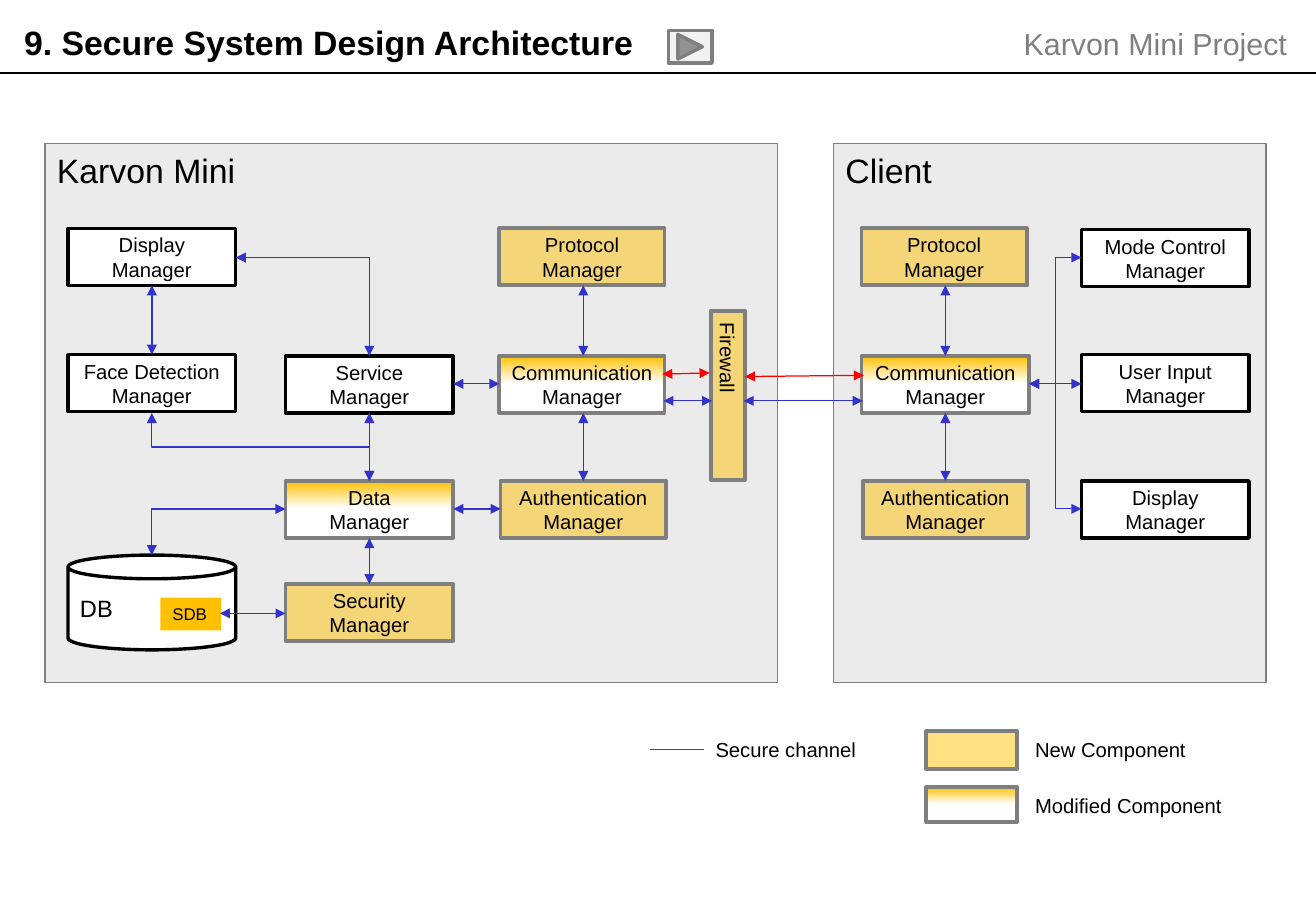
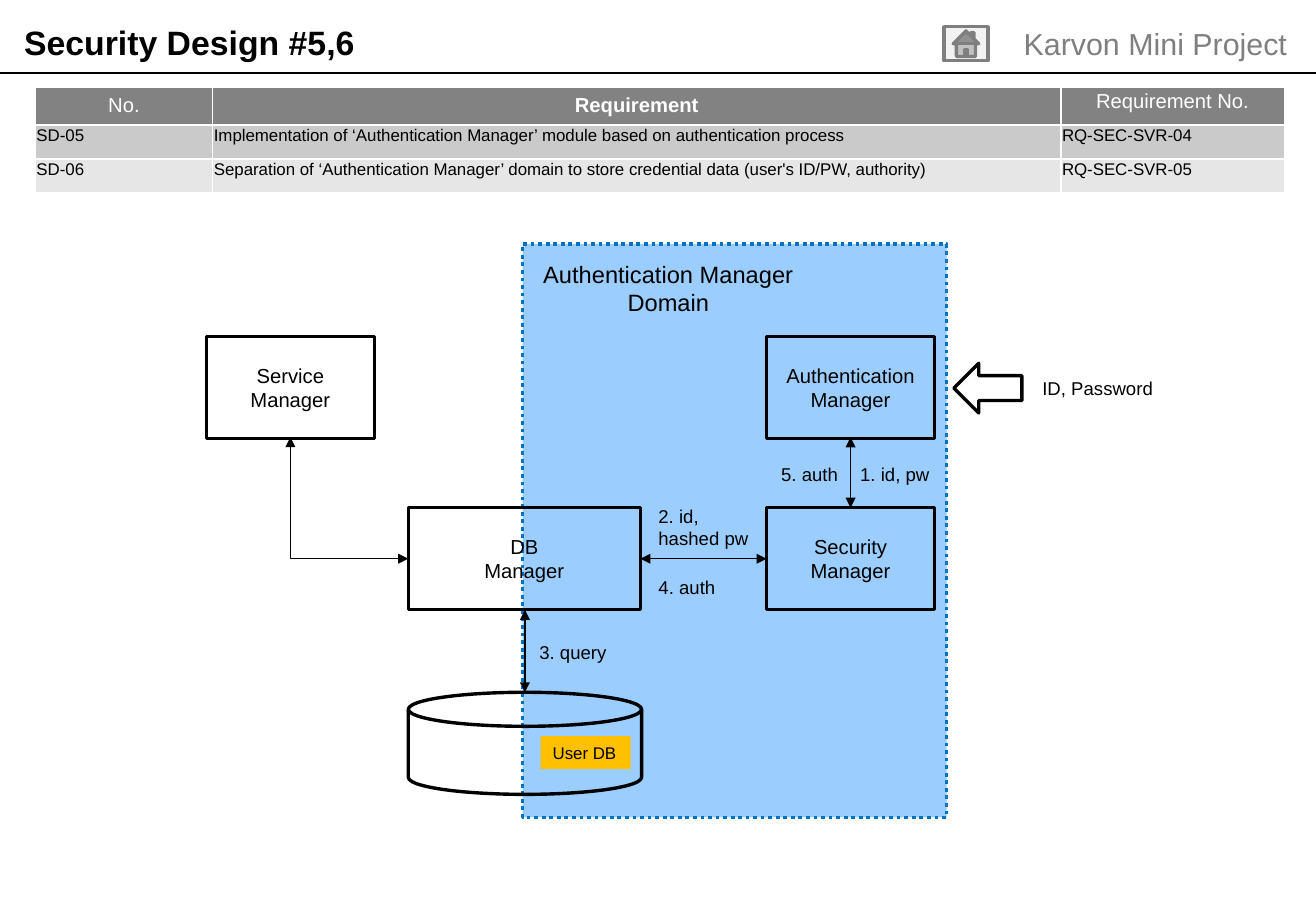
"""Build two slides on a secure system architecture and its authentication design."""
from dataclasses import dataclass
from typing import NamedTuple, Optional

from lxml.etree import SubElement
from pptx import Presentation
from pptx.dml.color import RGBColor
from pptx.enum.dml import MSO_LINE
from pptx.enum.shapes import MSO_CONNECTOR, MSO_SHAPE
from pptx.enum.text import MSO_ANCHOR, PP_ALIGN
from pptx.oxml.ns import qn
from pptx.shapes.autoshape import Shape
from pptx.slide import Slide
from pptx.util import Inches, Pt

BLACK = RGBColor(0x00, 0x00, 0x00)
WHITE = RGBColor(0xFF, 0xFF, 0xFF)
GREY = RGBColor(0x7F, 0x7F, 0x7F)
PANEL_GREY = RGBColor(0xD8, 0xD8, 0xD8)
BUTTON_GREY = RGBColor(0xF2, 0xF2, 0xF2)
HEAD_GREY = RGBColor(0x82, 0x82, 0x82)
BAND_GREYS = (RGBColor(0xCA, 0xCA, 0xCA), RGBColor(0xE6, 0xE6, 0xE6))
AMBER = RGBColor(0xFF, 0xC0, 0x00)
BLUE = RGBColor(0x33, 0x33, 0xCC)
RED = RGBColor(0xFF, 0x00, 0x00)
DOMAIN_BLUE = RGBColor(0x9B, 0xCD, 0xFF)
DOMAIN_EDGE = RGBColor(0x00, 0x70, 0xC0)

FONT = "Arial"
DEVICE = "Karvon Mini"
BOX_W, BOX_H = 1.38, 0.47
NEW_W = 1.36
ROW_Y = [round(1.88 + 1.04 * i, 2) for i in range(3)]
SECURITY_Y = 4.81
MID_Y = [2.12, 3.16, 4.19]


class Style(NamedTuple):
    fill: Optional[RGBColor] = None
    line: Optional[RGBColor] = BLACK
    width: float = 2
    alpha: int = 100
    gradient: bool = False


PLAIN = Style(WHITE)
CLEAR = Style()
NEW = Style(AMBER, GREY, 2.25, alpha=49)
MODIFIED = Style(AMBER, GREY, 2.25, gradient=True)
PANEL = Style(PANEL_GREY, GREY, 0.75, alpha=49)
STORE = Style(AMBER, None)
BUTTON = Style(BUTTON_GREY, GREY)
DOMAIN = Style(DOMAIN_BLUE, DOMAIN_EDGE, 2.25)


@dataclass
class Box:
    x: float
    y: float
    w: float
    h: float
    text: str = ""
    style: Style = PLAIN
    size: float = 12
    align: PP_ALIGN = PP_ALIGN.CENTER
    anchor: MSO_ANCHOR = MSO_ANCHOR.MIDDLE
    shape: MSO_SHAPE = MSO_SHAPE.RECTANGLE


@dataclass
class Label:
    x: float
    y: float
    w: float
    h: float
    text: str
    size: float = 11
    color: RGBColor = BLACK
    bold: bool = False
    align: PP_ALIGN = PP_ALIGN.LEFT


@dataclass
class Link:
    x1: float
    y1: float
    x2: float
    y2: float
    color: RGBColor = BLUE
    arrows: bool = True
    bend: str = ""


def write(sp: Shape, text: str, size: float, color: RGBColor, align: PP_ALIGN,
          bold: bool = False) -> None:
    tf = sp.text_frame
    tf.word_wrap = True
    tf.text = text
    for p in tf.paragraphs:
        p.alignment = align
        p.font.name, p.font.size = FONT, Pt(size)
        p.font.bold, p.font.color.rgb = bold, color


def add_box(s: Slide, box: Box) -> Shape:
    sp = s.shapes.add_shape(box.shape, Inches(box.x), Inches(box.y), Inches(box.w), Inches(box.h))
    sp.shadow.inherit = False
    style = box.style
    if style.gradient:
        sp.fill.gradient()
        sp.fill.gradient_angle = 270
        for stop, color, position in zip(sp.fill.gradient_stops, (style.fill, WHITE), (0, 0.48)):
            stop.color.rgb, stop.position = color, position
    elif style.fill is None:
        sp.fill.background()
    else:
        sp.fill.solid()
        sp.fill.fore_color.rgb = style.fill
        if style.alpha < 100:
            color = sp._element.spPr.find(qn("a:solidFill"))[0]
            SubElement(color, qn("a:alpha"), val=str(style.alpha * 1000))
    if style.line is None:
        sp.line.fill.background()
    else:
        sp.line.color.rgb, sp.line.width = style.line, Pt(style.width)
    if box.text:
        write(sp, box.text, box.size, BLACK, box.align)
        sp.text_frame.vertical_anchor = box.anchor
    return sp


def add_label(s: Slide, label: Label) -> None:
    sp = s.shapes.add_textbox(Inches(label.x), Inches(label.y), Inches(label.w), Inches(label.h))
    write(sp, label.text, label.size, label.color, label.align, label.bold)


def add_link(s: Slide, link: Link) -> None:
    x1, y1, x2, y2 = link.x1, link.y1, link.x2, link.y2
    if link.bend == "vertical":
        cx, cy = (x1 + x2) / 2, (y1 + y2) / 2
        dx, dy = (x2 - x1) / 2, (y2 - y1) / 2
        x1, y1, x2, y2 = cx - dy, cy + dx, cx + dy, cy - dx
    kind = MSO_CONNECTOR.ELBOW if link.bend else MSO_CONNECTOR.STRAIGHT
    cn = s.shapes.add_connector(kind, Inches(x1), Inches(y1), Inches(x2), Inches(y2))
    cn.line.color.rgb, cn.line.width = link.color, Pt(0.75)
    sp_pr = cn._element.spPr
    if link.bend == "corner":
        sp_pr.find(qn("a:prstGeom")).set("prst", "bentConnector2")
    elif link.bend == "vertical":
        sp_pr.find(qn("a:xfrm")).set("rot", "5400000")
    if link.arrows:
        ln = cn.line._get_or_add_ln()
        for end in ("a:headEnd", "a:tailEnd"):
            SubElement(ln, qn(end), type="triangle")
    SubElement(sp_pr, qn("a:effectLst"))


def add_slide(prs: Presentation, title: str) -> Slide:
    s = prs.slides.add_slide(prs.slide_layouts[6])
    add_link(s, Link(0, 0.6, 10.83, 0.6, BLACK, arrows=False))
    add_label(s, Label(0.1, 0.13, 6.4, 0.44, title, 20, bold=True))
    add_label(s, Label(7.62, 0.16, 3.07, 0.4, f"{DEVICE} Project", 18, GREY, align=PP_ALIGN.RIGHT))
    return s


def add_requirements(s: Slide) -> None:
    rows = [
        ("No.", "Requirement", "Requirement No."),
        ("SD-05", "Implementation of ‘Authentication Manager’ module based on authentication process",
         "RQ-SEC-SVR-04"),
        ("SD-06", "Separation of ‘Authentication Manager’ domain to store credential data "
         "(user's ID/PW, authority)", "RQ-SEC-SVR-05"),
    ]
    table = s.shapes.add_table(3, 3, Inches(0.29), Inches(0.72), Inches(10.28), Inches(0.88)).table
    for column, width in zip(table.columns, (1.46, 6.98, 1.84)):
        column.width = Inches(width)
    for row, height in zip(table.rows, (0.31, 0.28, 0.28)):
        row.height = Inches(height)
    for i, texts in enumerate(rows):
        for j, text in enumerate(texts):
            cell = table.cell(i, j)
            head = i == 0
            cell.fill.solid()
            cell.fill.fore_color.rgb = HEAD_GREY if head else BAND_GREYS[i - 1]
            padded = head and j < 2
            cell.margin_left = cell.margin_right = Inches(0.07 if padded else 0.01)
            cell.margin_top = cell.margin_bottom = Inches(0.04 if padded else 0.01)
            cell.text = text
            p = cell.text_frame.paragraphs[0]
            p.alignment = PP_ALIGN.CENTER if head else PP_ALIGN.LEFT
            if head:
                p.line_spacing = 1.07
            p.font.name, p.font.size = FONT, Pt(12 if head else 10)
            p.font.bold = head and j == 1
            p.font.color.rgb = WHITE if head else BLACK


def build_architecture(prs: Presentation) -> None:
    s = add_slide(prs, "9. Secure System Design Architecture")
    add_box(s, Box(5.5, 0.25, 0.36, 0.27, style=BUTTON,
                   shape=MSO_SHAPE.ACTION_BUTTON_FORWARD_OR_NEXT))
    for x, w, name in ((0.37, 6.03, DEVICE), (6.86, 3.56, "Client")):
        add_box(s, Box(x, 1.18, w, 4.44, name, PANEL, 20, PP_ALIGN.LEFT, MSO_ANCHOR.TOP))

    add_box(s, Box(0.56, 4.57, BOX_W, 0.78, "DB", size=14, align=PP_ALIGN.LEFT,
                   shape=MSO_SHAPE.CAN))
    top, middle, bottom = ROW_Y
    managers = [
        (0.56, top, BOX_W, "Display", PLAIN),
        (0.56, middle, BOX_W, "Face Detection", PLAIN),
        (2.35, middle + 0.01, BOX_W, "Service", PLAIN),
        (2.35, bottom, BOX_W, "Data", MODIFIED),
        (2.35, SECURITY_Y, BOX_W, "Security", NEW),
        (8.9, top + 0.01, BOX_W, "Mode Control", PLAIN),
        (8.9, middle, BOX_W, "User Input", PLAIN),
        (8.9, bottom, BOX_W, "Display", PLAIN),
    ]
    for x, communication_w in ((4.11, NEW_W), (7.09, BOX_W)):
        managers += [
            (x, top, NEW_W, "Protocol", NEW),
            (x, middle + 0.01, communication_w, "Communication", MODIFIED),
            (x + 0.01, bottom, NEW_W, "Authentication", NEW),
        ]
    for x, y, w, name, style in managers:
        add_box(s, Box(x, y, w, BOX_H, f"{name}\nManager", style))
    add_box(s, Box(1.32, 4.92, 0.5, 0.27, "SDB", STORE, 10, PP_ALIGN.LEFT))
    firewall = add_box(s, Box(5.85, 2.56, 0.28, 1.39, "Firewall", NEW, align=PP_ALIGN.LEFT))
    firewall.text_frame._txBody.bodyPr.set("vert", "eaVert")

    links = [Link(x, y1, x, y2) for x in (4.8, 7.78) for y1, y2 in ((2.35, 2.93), (3.4, 3.96))]
    links += [Link(8.9, y, 8.47, MID_Y[1], bend="middle") for y in (MID_Y[0], MID_Y[2])]
    links += [
        Link(8.47, MID_Y[1], 8.9, MID_Y[1]),
        Link(3.73, MID_Y[1], 4.11, MID_Y[1]),
        Link(3.73, MID_Y[2], 4.12, MID_Y[2]),
        Link(3.04, 3.96, 3.04, 3.4),
        Link(3.04, SECURITY_Y, 3.04, 4.43),
        Link(1.81, 5.05, 2.35, 5.05),
        Link(1.25, 2.92, 1.25, 2.35),
        Link(1.94, MID_Y[0], 3.04, 2.93, bend="corner"),
        Link(2.35, MID_Y[2], 1.25, 4.57, bend="corner"),
        Link(3.04, 3.96, 1.25, 3.4, bend="vertical"),
        Link(5.46, 3.3, 5.86, 3.3),
        Link(6.12, 3.3, 7.1, 3.3),
        Link(5.45, 3.08, 5.84, 3.07, RED),
        Link(6.13, 3.1, 7.11, 3.09, RED),
        Link(5.35, 6.17, 5.79, 6.17, RED, arrows=False),
    ]
    for link in links:
        add_link(s, link)

    add_box(s, Box(7.62, 6.02, 0.75, 0.31, style=NEW))
    add_box(s, Box(7.62, 6.48, 0.75, 0.29, style=MODIFIED))
    for x, y, text in ((5.79, 6.02, "Secure channel"), (8.42, 6.02, "New Component"),
                       (8.42, 6.48, "Modified Component")):
        add_label(s, Label(x, y, 1.83, 0.3, text, 12))


def build_authentication(prs: Presentation) -> None:
    s = add_slide(prs, "Security Design #5,6")
    add_box(s, Box(7.77, 0.22, 0.36, 0.28, style=BUTTON, shape=MSO_SHAPE.ACTION_BUTTON_HOME))
    add_requirements(s)
    domain = add_box(s, Box(4.3, 2.01, 3.49, 4.72, style=DOMAIN))
    domain.line.dash_style = MSO_LINE.ROUND_DOT
    for x, y, w, name, style in ((1.7, 2.77, BOX_W, "Service", PLAIN),
                                 (6.31, 2.77, BOX_W, "Authentication", CLEAR),
                                 (6.31, 4.18, BOX_W, "Security", CLEAR),
                                 (3.36, 4.18, 1.91, "DB", CLEAR)):
        add_box(s, Box(x, y, w, 0.84, f"{name}\nManager", style))
    add_box(s, Box(3.36, 5.7, 1.92, 0.84, style=CLEAR, shape=MSO_SHAPE.FLOWCHART_MAGNETIC_DISK))
    add_box(s, Box(4.45, 6.06, 0.74, 0.27, "User DB", STORE, 10, PP_ALIGN.LEFT))
    add_box(s, Box(7.85, 2.99, 0.56, 0.41, style=CLEAR, shape=MSO_SHAPE.LEFT_ARROW))
    for x1, y1, x2, y2, bend in ((6.31, 4.6, 5.27, 4.6, ""), (4.32, 5.7, 4.32, 5.02, ""),
                                 (7, 4.18, 7, 3.6, ""), (3.36, 4.6, 2.39, 3.6, "corner")):
        add_link(s, Link(x1, y1, x2, y2, BLACK, bend=bend))
    for label in (Label(4.34, 2.09, 2.32, 0.57, "Authentication Manager\nDomain", 14,
                        align=PP_ALIGN.CENTER),
                  Label(6.98, 3.76, 0.85, 0.29, "1. id, pw"),
                  Label(5.32, 4.11, 1, 0.47, "2. id,\nhashed pw"),
                  Label(4.34, 5.23, 0.8, 0.29, "3. query"),
                  Label(5.32, 4.69, 0.75, 0.29, "4. auth"),
                  Label(6.33, 3.76, 0.75, 0.29, "5. auth"),
                  Label(8.48, 3.05, 1.2, 0.29, "ID, Password")):
        add_label(s, label)


def main() -> None:
    prs = Presentation()
    prs.slide_width, prs.slide_height = Inches(10.83), Inches(7.5)
    build_architecture(prs)
    build_authentication(prs)
    prs.save("out.pptx")


if __name__ == "__main__":
    main()
